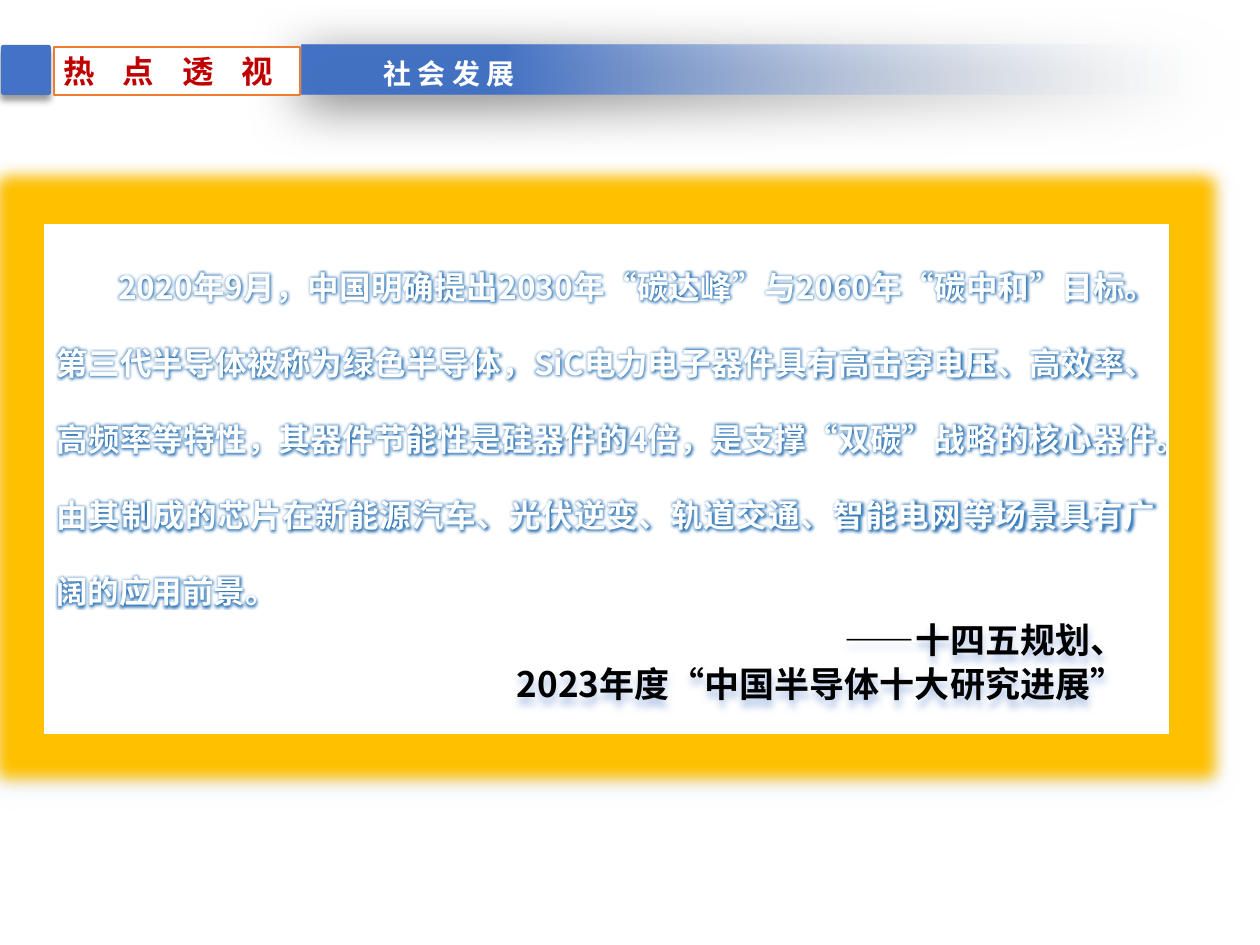
from lxml.etree import SubElement
from pptx import Presentation
from pptx.dml.color import RGBColor
from pptx.enum.shapes import MSO_SHAPE as Shape
from pptx.enum.text import MSO_ANCHOR as Anchor, MSO_AUTO_SIZE as AutoSize, PP_ALIGN as Align
from pptx.oxml.ns import qn
from pptx.util import Pt

# Content
SECTION = "热 点 透 视"
TOPIC = "社 会 发 展"
STATEMENT = (
    "2020年9月，中国明确提出2030年“碳达峰”与2060年“碳中和”目标。"
    "第三代半导体被称为绿色半导体，SiC电力电子器件具有高击穿电压、高效率、高频率等特性，"
    "其器件节能性是硅器件的4倍，是支撑“双碳”战略的核心器件。"
    "由其制成的芯片在新能源汽车、光伏逆变、轨道交通、智能电网等场景具有广阔的应用前景。"
)
CITATION = ["——十四五规划、", "2023年度“中国半导体十大研究进展”"]

# Places in px: left, top, width, height
PX = 914400 / 126
BAND = (302, 45, 905, 50)
MARKER = (1, 45, 50, 50)
LABEL = (54, 47, 246, 48)
HEADING = (364, 52, 170, 43)
PANEL = (44, 224, 1125, 510)
SOURCE = (471, 601, 667, 106)
FIRST_LINE = 62


class Theme:
    font = "Noto Sans CJK SC"
    blue, pale, white, black = "4472C4", "F7FAFD", "FFFFFF", "000000"
    red, orange, gold = "C00000", "ED7D31", "FFC000"
    text_glow, soft_blue = "2E75B6", "B4C7E7"
    label_size, heading_size, body_size, source_size = 18, 16, 18, 20
    body_pitch, source_pitch = 43.4, 25


def px(value):
    return round(value * PX)


def rgb(color):
    return RGBColor.from_string(color)


def add_color(parent, color, alpha=100):
    clr = SubElement(parent, qn("a:srgbClr"), val=color)
    SubElement(clr, qn("a:alpha"), val=str(alpha * 1000))


def add_glow(effects, color, radius):
    add_color(SubElement(effects, qn("a:glow"), rad=str(Pt(radius))), color)


def add_shadow(effects, color, alpha, blur, distance, angle):
    shadow = SubElement(effects, qn("a:outerShdw"), blurRad=str(Pt(blur)),
                        dist=str(Pt(distance)), dir=str(angle * 60000),
                        algn="t", rotWithShape="0")
    add_color(shadow, color, alpha)


def effects_of(shape):
    shape.shadow.inherit = False
    return shape._element.spPr.find(qn("a:effectLst"))


def add_block(kind, place, fill, line=None):
    block = slide.shapes.add_shape(kind, *map(px, place))
    block.fill.solid()
    block.fill.fore_color.rgb = rgb(fill)
    if line:
        block.line.color.rgb = rgb(line)
        block.line.width = Pt(1)
    else:
        block.line.fill.background()
    return block, effects_of(block)


def set_frame(shape, anchor, side=9, edge=5):
    frame = shape.text_frame
    frame.word_wrap = True
    frame.auto_size = AutoSize.NONE
    frame.vertical_anchor = anchor
    frame.margin_left = frame.margin_right = px(side)
    frame.margin_top = frame.margin_bottom = px(edge)
    return frame


def write(paragraph, text, size, color, align, pitch=None):
    paragraph.alignment = align
    if pitch:
        paragraph.line_spacing = Pt(pitch)
    run = paragraph.add_run()
    run.text = text
    font = run.font
    font.size, font.bold, font.name = Pt(size), True, Theme.font
    font.color.rgb = rgb(color)
    props = run._r.get_or_add_rPr()
    SubElement(props, qn("a:ea"), typeface=Theme.font)
    return props


prs = Presentation()
prs.slide_width, prs.slide_height = px(1260), px(945)
slide = prs.slides.add_slide(prs.slide_layouts[5])

# Header band fading out to the right
band, band_effects = add_block(Shape.RECTANGLE, BAND, Theme.blue)
band.fill.gradient()
band.fill.gradient_angle = 180
stops = zip(band.fill.gradient_stops, [(0, Theme.pale), (0.78, Theme.blue)])
for stop, (position, color) in stops:
    stop.position = position
    stop.color.rgb = rgb(color)
clear_end = next(band._element.spPr.iter(qn("a:srgbClr")))
SubElement(clear_end, qn("a:alpha"), val="0")
add_shadow(band_effects, Theme.black, 50, 31, 6, 97)

marker, marker_effects = add_block(Shape.ROUNDED_RECTANGLE, MARKER, Theme.blue)
marker.adjustments[0] = 0.05
add_shadow(marker_effects, Theme.black, 40, 4, 3, 90)

# Section label
label, _ = add_block(Shape.RECTANGLE, LABEL, Theme.white, Theme.orange)
label_props = write(set_frame(label, Anchor.MIDDLE).paragraphs[0], SECTION,
                    Theme.label_size, Theme.red, Align.LEFT)
label_props.set("spc", "600")

# Topic title, brought in front of the band
heading = slide.shapes.title
heading.left, heading.top, heading.width, heading.height = map(px, HEADING)
write(set_frame(heading, Anchor.MIDDLE).paragraphs[0], TOPIC,
      Theme.heading_size, Theme.white, Align.CENTER)
slide.shapes._spTree.append(heading._element)

# Glowing panel with the statement
panel, panel_effects = add_block(Shape.RECTANGLE, PANEL, Theme.white)
add_glow(panel_effects, Theme.gold, 18)
add_shadow(panel_effects, Theme.soft_blue, 100, 4, 4, 90)
statement = set_frame(panel, Anchor.TOP, 12.6, 6.3).paragraphs[0]
statement_props = write(statement, STATEMENT, Theme.body_size, Theme.white,
                        Align.JUSTIFY, Theme.body_pitch)
statement._p.get_or_add_pPr().set("indent", str(px(FIRST_LINE)))
text_effects = SubElement(statement_props, qn("a:effectLst"))
statement_props.find(qn("a:solidFill")).addnext(text_effects)
add_glow(text_effects, Theme.text_glow, 5)

# Source of the statement
source = slide.shapes.add_textbox(*map(px, SOURCE))
add_shadow(effects_of(source), Theme.soft_blue, 100, 4, 4, 90)
source_frame = set_frame(source, Anchor.BOTTOM, 12.6, 3)
for number, line in enumerate(CITATION):
    paragraph = source_frame.add_paragraph() if number else source_frame.paragraphs[0]
    write(paragraph, line, Theme.source_size, Theme.black, Align.RIGHT, Theme.source_pitch)

prs.save("out.pptx")
